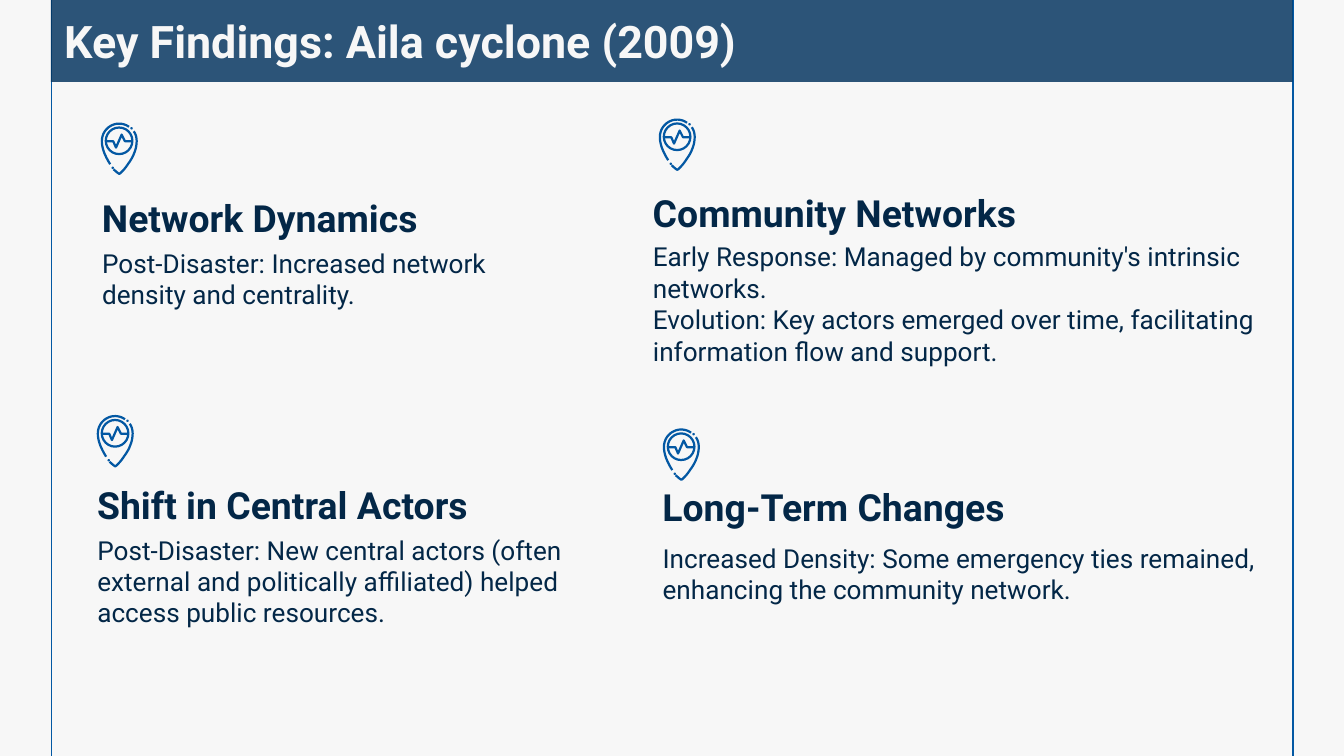
"""Build the key findings slide on the Aila cyclone."""
from dataclasses import dataclass
from lxml import etree
from pptx import Presentation
from pptx.dml.color import RGBColor
from pptx.enum.shapes import MSO_CONNECTOR, MSO_SHAPE
from pptx.enum.text import MSO_ANCHOR, MSO_AUTO_SIZE, PP_ALIGN
from pptx.oxml.ns import qn
from pptx.util import Inches, Pt

STRAIGHT = MSO_CONNECTOR.STRAIGHT
OVAL = MSO_SHAPE.OVAL
TOP, MIDDLE, BOTTOM = MSO_ANCHOR.TOP, MSO_ANCHOR.MIDDLE, MSO_ANCHOR.BOTTOM
LEFT = PP_ALIGN.LEFT
NO_AUTOFIT = MSO_AUTO_SIZE.NONE

COLORS = {"paper": "F7F7F7", "banner": "03345F", "ink": "032747", "accent": "0358A3"}
FONT = "Roboto"
COLUMNS, ROWS = 100, 56.25
CELL = Inches(0.1)
COMPARISON_LAYOUT = 4
HEADING_SIZE = (35.1, 5.1)
STROKE = 1.2

Point = tuple[float, float]


@dataclass(frozen=True)
class Finding:
    """A heading with its details and pin, placed in grid columns and rows."""
    heading: str
    details: str
    column: float
    heading_row: float
    details_row: float
    details_size: Point
    pin: Point


@dataclass(frozen=True)
class Curve:
    """A chain of cubic curves, each given by two controls and an end."""
    start: Point
    segments: tuple[tuple[Point, Point, Point], ...]


FINDINGS = (
    Finding("Network Dynamics",
            "Post-Disaster: Increased network density and centrality.",
            6.6, 13.74, 17.37, (35.1, 6.8), (7.5, 9.12)),
    Finding("Community Networks",
            "Early Response: Managed by community's intrinsic networks.\n"
            "Evolution: Key actors emerged over time, facilitating information flow and support.",
            47.58, 13.4, 16.92, (48.6, 14), (49.02, 8.82)),
    Finding("Shift in Central Actors",
            "Post-Disaster: New central actors (often external and politically affiliated) "
            "helped access public resources.",
            6.24, 35.1, 38.74, (37.6, 14.4), (7.2, 30.88)),
    Finding("Long-Term Changes",
            "Increased Density: Some emergency ties remained, enhancing the community network.",
            48.3, 35.24, 39.34, (47.5, 6.8), (49.32, 31.88)),
)
PIN_SIDES = (
    Curve((2.1, 0.32), (((1.9, 0.17), (1.65, 0.08), (1.35, 0.08)),
                        ((0.68, 0.08), (0.08, 0.65), (0.08, 1.37)),
                        ((0.08, 2.05), (0.45, 2.7), (0.7, 3.1)))),
    Curve((2.45, 0.65), (((2.6, 0.85), (2.67, 1.1), (2.67, 1.37)),
                         ((2.67, 2.05), (2.35, 2.65), (2.05, 3.05)),
                         ((1.8, 3.45), (1.5, 3.75), (1.38, 3.82)),
                         ((1.25, 3.75), (1.15, 3.65), (0.95, 3.48)))),
)
PULSE = ((0.4, 1.4), (0.93, 1.4), (1.13, 1.87), (1.55, 0.9), (1.8, 1.4), (2.3, 1.4))
RING = (0.37, 0.37, 1.98)
PIN_DOTS = ((2.2, 0.34, 0.18), (0.8, 3.28, 0.18))


def grid(cells: float) -> int:
    """Turn grid cells into a slide length."""
    return round(cells * CELL)


def color(name: str) -> RGBColor:
    """Look up a palette colour."""
    return RGBColor.from_string(COLORS[name])


def place(shape, column: float, row: float, size: Point) -> None:
    """Put a shape on the grid."""
    shape.left, shape.top = grid(column), grid(row)
    shape.width, shape.height = (grid(length) for length in size)


def write(shape, text: str, points: float, ink: str, bold: bool, anchor) -> None:
    """Fill a shape with plain left-aligned text."""
    frame = shape.text_frame
    frame.text = text
    frame.word_wrap = True
    frame.auto_size = NO_AUTOFIT
    frame.vertical_anchor = anchor
    frame.margin_left = frame.margin_right = frame.margin_top = frame.margin_bottom = grid(1)
    for paragraph in frame.paragraphs:
        paragraph.alignment = LEFT
        paragraph.line_spacing = 1.0
        paragraph.space_before = paragraph.space_after = Pt(0)
        properties = paragraph._p.get_or_add_pPr()
        properties.set("marL", "0")
        properties.set("indent", "0")
        etree.SubElement(properties, qn("a:buNone"))
        for run in paragraph.runs:
            run.font.name, run.font.size, run.font.bold = FONT, Pt(points), bold
            run.font.color.rgb = color(ink)


def draw_margin(slide, column: float) -> None:
    """Draw a full-height margin line behind the content."""
    margin = slide.shapes.add_connector(STRAIGHT, grid(column), 0, grid(column), grid(ROWS))
    margin.line.color.rgb = color("accent")
    margin.line.width = Pt(0.75)
    etree.SubElement(margin._element.spPr, qn("a:effectLst"))
    margin._element.getparent().insert(2, margin._element)


def trace(curve: Curve, steps: int = 12) -> list[Point]:
    """Sample a chain of cubic curves."""
    points = [curve.start]
    for first, second, end in curve.segments:
        start = points[-1]
        for step in range(1, steps + 1):
            t = step / steps
            weights = ((1 - t) ** 3, 3 * t * (1 - t) ** 2, 3 * t * t * (1 - t), t ** 3)
            knots = (start, first, second, end)
            points.append((sum(w * k[0] for w, k in zip(weights, knots)),
                           sum(w * k[1] for w, k in zip(weights, knots))))
    return points


def outline(shape) -> None:
    """Leave only an accent stroke on a shape."""
    shape.shadow.inherit = False
    shape.fill.background()
    shape.line.color.rgb = color("accent")
    shape.line.width = Pt(STROKE)


def draw_pin(slide, origin: Point) -> None:
    """Draw a map pin with a pulse inside its ring."""
    column, row = origin
    parts = slide.shapes.add_group_shape().shapes
    for stroke in (*map(trace, PIN_SIDES), PULSE):
        points = [(grid(column + x), grid(row + y)) for x, y in stroke]
        builder = parts.build_freeform(*points[0])
        builder.add_line_segments(points[1:], close=False)
        outline(builder.convert_to_shape())
    for x, y, diameter in (RING, *PIN_DOTS):
        circle = parts.add_shape(OVAL, grid(column + x), grid(row + y),
                                 grid(diameter), grid(diameter))
        outline(circle)
        if diameter < 1:
            circle.fill.solid()
            circle.fill.fore_color.rgb = color("accent")
            circle.line.fill.background()


def draw_finding(slide, finding: Finding, details) -> None:
    """Draw one finding, with its details in a body placeholder."""
    place(details, finding.column, finding.details_row, finding.details_size)
    write(details, finding.details, 14, "ink", False, TOP)
    heading = slide.shapes.add_textbox(0, 0, 0, 0)
    place(heading, finding.column, finding.heading_row, HEADING_SIZE)
    write(heading, finding.heading, 20, "ink", True, BOTTOM)
    draw_pin(slide, finding.pin)


def draw_banner(title) -> None:
    """Turn the title placeholder into a translucent banner."""
    place(title, 3.78, 0, (92.4, 6.1))
    title.fill.solid()
    title.fill.fore_color.rgb = color("banner")
    tint = title._element.spPr.find(qn("a:solidFill"))[0]
    etree.SubElement(tint, qn("a:alpha")).set("val", "83000")
    write(title, "Key Findings: Aila cyclone (2009)", 24, "paper", True, MIDDLE)


def main() -> None:
    """Build and save the slide."""
    deck = Presentation()
    deck.slide_width, deck.slide_height = grid(COLUMNS), grid(ROWS)
    slide = deck.slides.add_slide(deck.slide_layouts[COMPARISON_LAYOUT])
    slide.background.fill.solid()
    slide.background.fill.fore_color.rgb = color("paper")
    title, *bodies = list(slide.placeholders)[:1 + len(FINDINGS)]
    for column in (3.85, 96.2):
        draw_margin(slide, column)
    draw_banner(title)
    for finding, details in zip(FINDINGS, bodies):
        draw_finding(slide, finding, details)
    deck.save("out.pptx")


if __name__ == "__main__":
    main()
